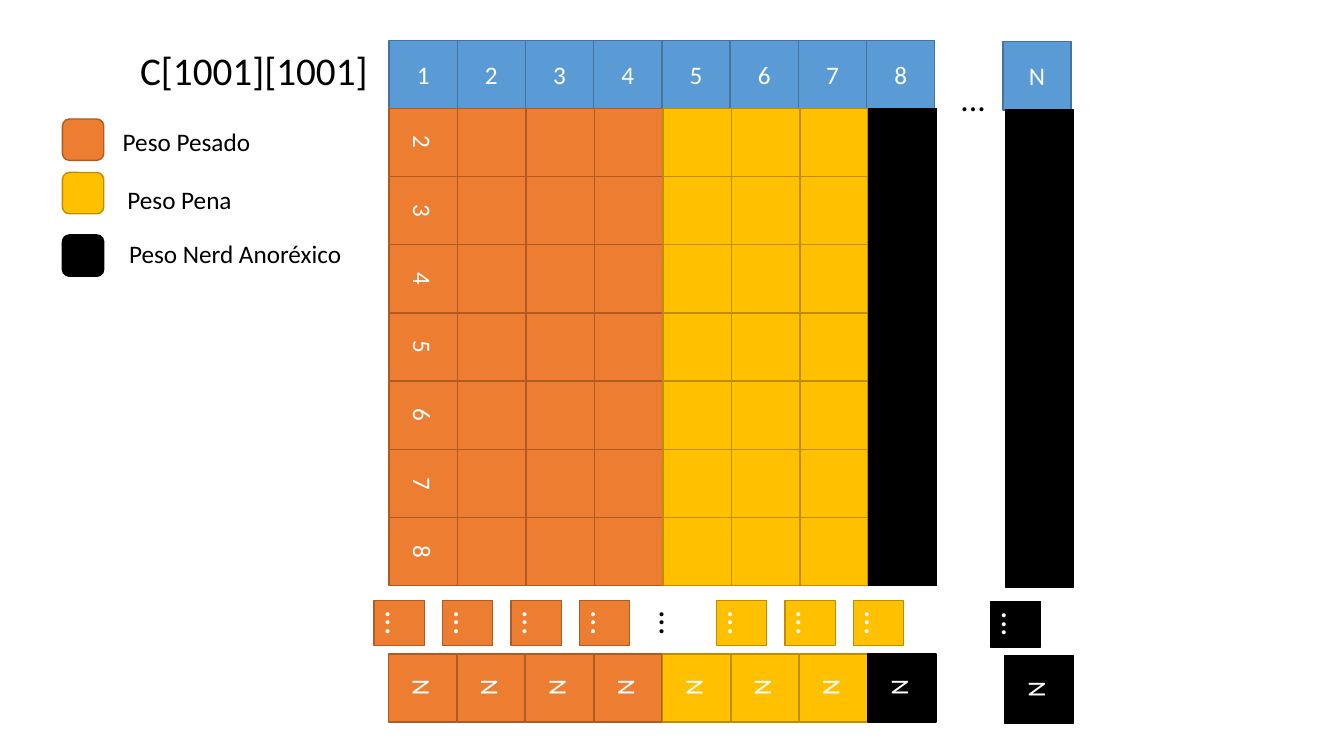
import pptx
import pptx.dml.color
import pptx.enum.shapes
import pptx.enum.text
import pptx.util

Pt = pptx.util.Pt
SHAPES = pptx.enum.shapes.MSO_SHAPE
ALIGN = pptx.enum.text.PP_ALIGN
ANCHOR = pptx.enum.text.MSO_ANCHOR
AUTO_SIZE = pptx.enum.text.MSO_AUTO_SIZE

COLORS = {
    "blue": "5B9BD5", "blue line": "43739E",
    "orange": "ED7D31", "orange line": "AF5C24",
    "yellow": "FFC000", "yellow line": "BD8E00",
    "black": "000000", "black line": "000000",
    "white": "FFFFFF",
}
CELL = 48.72
COLUMN_STEP = 48.92
# Grid position of each column and its colour; the last one stands for N
COLUMNS = [(0, "orange"), (1, "orange"), (2, "orange"), (3, "orange"),
           (4, "yellow"), (5, "yellow"), (6, "yellow"), (7, "black"), (9, "black")]
LAST = 9
LAST_DROP = 1
CELL_TEXT = {"word_wrap": True, "vertical_anchor": ANCHOR.MIDDLE}
LABEL_TEXT = {"word_wrap": False, "vertical_anchor": ANCHOR.TOP,
              "auto_size": AUTO_SIZE.SHAPE_TO_FIT_TEXT}


def rgb(name):
    return pptx.dml.color.RGBColor.from_string(COLORS[name])


def write(shape, text, size, color, frame_format, alignment):
    frame = shape.text_frame
    for name, value in frame_format.items():
        setattr(frame, name, value)
    paragraph = frame.paragraphs[0]
    paragraph.alignment = alignment
    run = paragraph.add_run()
    run.text = text
    for name, value in {"size": Pt(size), "name": "Calibri"}.items():
        setattr(run.font, name, value)
    run.font.color.rgb = rgb(color)


def add_box(slide, box, color, kind=SHAPES.RECTANGLE, rotation=0):
    shape = slide.shapes.add_shape(kind, *map(Pt, box))
    shape.shadow.inherit = False
    shape.fill.solid()
    shape.fill.fore_color.rgb = rgb(color)
    shape.line.color.rgb = rgb(color + " line")
    shape.line.width = Pt(1)
    shape.rotation = rotation
    return shape


def add_cell(slide, left, top, color, text="", rotation=0):
    shape = add_box(slide, (left, top, CELL, CELL), color, rotation=rotation)
    if text:
        write(shape, text, 18, "white", CELL_TEXT, ALIGN.CENTER)


def add_label(slide, box, text, size, rotation=0):
    label = slide.shapes.add_textbox(*map(Pt, box))
    label.rotation = rotation
    write(label, text, size, "black", LABEL_TEXT, ALIGN.LEFT)


def add_title(slide, box):
    title = slide.shapes.title
    title.left, title.top, title.width, title.height = map(Pt, box)
    write(title, "C[1001][1001]", 28, "black", LABEL_TEXT, ALIGN.LEFT)


def add_header(slide, left, top):
    for position, _ in COLUMNS:
        is_last = position == LAST
        add_cell(slide, left + position * CELL, top + LAST_DROP * is_last, "blue",
                 "N" if is_last else str(position + 1))
    add_label(slide, (left + 401, top + 23, 32.4, 36), "...", 24)


def add_column(slide, left, top, position, color):
    # Seven cells, a gap for the dots, then the N cell
    for row in range(7):
        text = str(row + 2) if position == 0 else ""
        add_cell(slide, left, top + row * CELL, color, text, 90)
    add_cell(slide, left - 0.4, top + 8 * CELL, color, "N", 90)

    dots = (left - 9, top + 349.7, 32.4, 36)
    if position == 4:
        add_label(slide, dots, "...", 24, 90)
    else:
        dots_color = "yellow" if position == 7 else color
        shape = add_box(slide, dots, dots_color, rotation=90)
        write(shape, "...", 24, "white", LABEL_TEXT, ALIGN.LEFT)


def add_matrix(slide, left, top):
    add_header(slide, left, top)
    for position, color in COLUMNS:
        drop = LAST_DROP if position == LAST else 0
        add_column(slide, left + position * COLUMN_STEP, top + 48.5 + drop,
                   position, color)


def add_legend(slide, left, top):
    # Swatch offset, colour, then label offsets, width and text
    entries = [
        (0, "orange", 36, 1.5, 106.6, "Peso Pesado"),
        (38.2, "yellow", 39.3, 43.2, 90, "Peso Pena"),
        (82.8, "black", 40.5, 81.4, 167.8, "Peso Nerd Anoréxico"),
    ]
    for swatch_y, color, label_x, label_y, width, text in entries:
        add_box(slide, (left, top + swatch_y, 29.5, 29.5), color,
                SHAPES.ROUNDED_RECTANGLE)
        add_label(slide, (left + label_x, top + label_y, width, 28.8), text, 18)


def main():
    presentation = pptx.Presentation()
    presentation.slide_width = Pt(960)
    presentation.slide_height = Pt(540)
    slide = presentation.slides.add_slide(presentation.slide_layouts[5])
    add_title(slide, (92.9, 29.5, 179.3, 41))
    add_matrix(slide, 277.9, 28.8)
    add_legend(slide, 44.6, 85)
    presentation.save("out.pptx")


if __name__ == "__main__":
    main()
